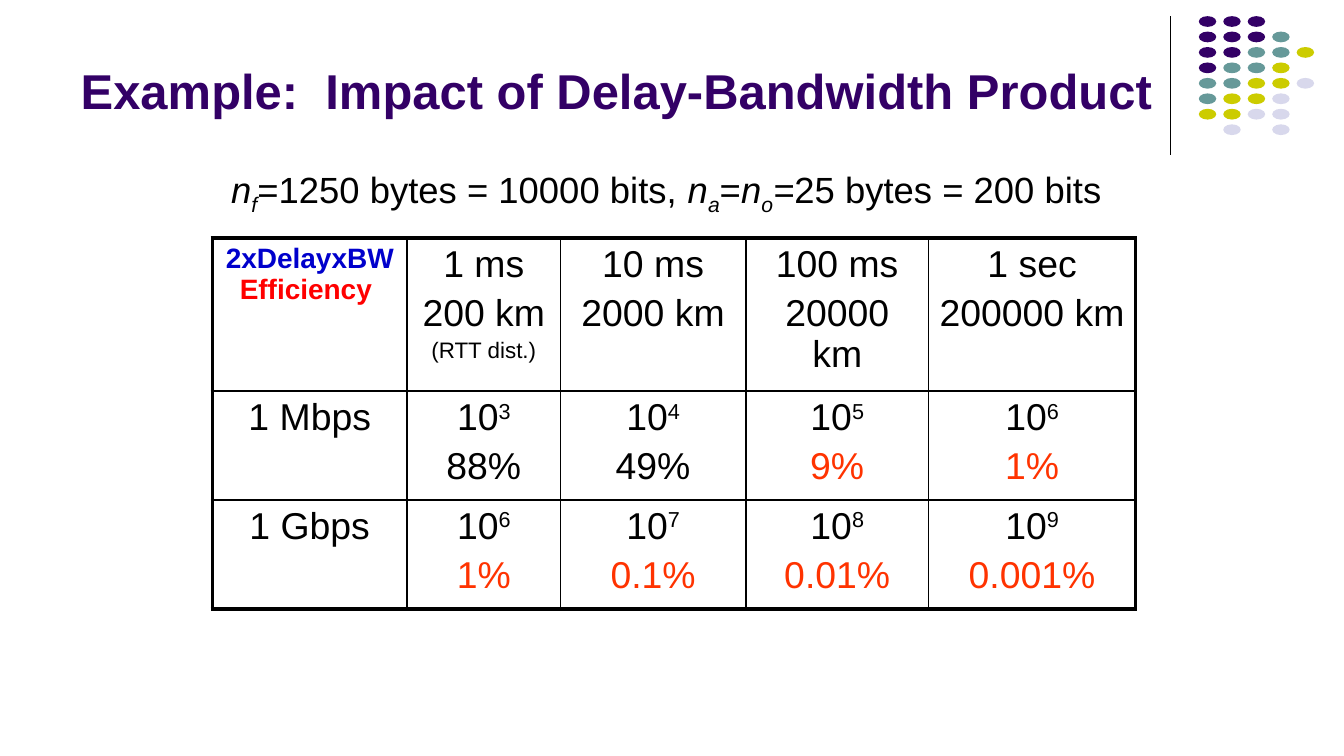
from typing import NamedTuple

from lxml import etree
from pptx import Presentation
from pptx.dml.color import RGBColor
from pptx.enum.shapes import MSO_CONNECTOR, MSO_SHAPE
from pptx.enum.text import MSO_ANCHOR, MSO_AUTO_SIZE, PP_ALIGN
from pptx.oxml.ns import qn
from pptx.util import Inches, Pt

ELLIPSE = MSO_SHAPE.OVAL
STRAIGHT = MSO_CONNECTOR.STRAIGHT
LEFT, CENTER = PP_ALIGN.LEFT, PP_ALIGN.CENTER
TOP, BOTTOM = MSO_ANCHOR.TOP, MSO_ANCHOR.BOTTOM
NO_AUTOFIT = MSO_AUTO_SIZE.NONE

FONT = "Arial"
BLACK = RGBColor(0x00, 0x00, 0x00)
PURPLE = RGBColor(0x33, 0x00, 0x66)
TEAL = RGBColor(0x66, 0x99, 0x99)
OLIVE = RGBColor(0xCC, 0xCC, 0x00)
LAVENDER = RGBColor(0xD8, 0xD8, 0xEC)
BLUE = RGBColor(0x00, 0x00, 0xCC)
RED = RGBColor(0xFF, 0x00, 0x00)
ORANGE = RGBColor(0xFF, 0x33, 0x00)

DOT_COLOURS = {"P": PURPLE, "T": TEAL, "O": OLIVE, "L": LAVENDER}
DOT_ROWS = ["PPP", "PPPT", "PPTTO", "PTTO", "TTOOL", "TOOL", "OOLL", " L L"]

COLUMN_WIDTHS = [1.45, 1.14, 1.38, 1.36, 1.54]
ROW_HEIGHTS = [1.14, 0.81, 0.81]
OUTER_BORDER, INNER_BORDER = Pt(2.25), Pt(1)
LOW_EFFICIENCY = 10


class Span(NamedTuple):
    text: str
    size: float = 20
    colour: RGBColor = BLACK
    bold: bool = False
    italic: bool = False
    baseline: int = 0


class Delay(NamedTuple):
    time: str
    distance: str
    note: str = ""


class Link(NamedTuple):
    rate: str
    first_exponent: int
    efficiencies: list[str]


DELAYS = [
    Delay("1 ms", "200 km", "(RTT dist.)"),
    Delay("10 ms", "2000 km"),
    Delay("100 ms", "20000 km"),
    Delay("1 sec", "200000 km"),
]
LINKS = [
    Link("1 Mbps", 3, ["88%", "49%", "9%", "1%"]),
    Link("1 Gbps", 6, ["1%", "0.1%", "0.01%", "0.001%"]),
]


def write_spans(paragraph, spans: list[Span]) -> None:
    for span in spans:
        run = paragraph.add_run()
        run.text = span.text
        run.font.name = FONT
        run.font.size = Pt(span.size)
        run.font.bold = span.bold
        run.font.italic = span.italic
        run.font.color.rgb = span.colour
        if span.baseline:
            run.font._element.set("baseline", str(span.baseline * 1000))


def place(placeholder, left: float, top: float, width: float, height: float, anchor) -> None:
    placeholder.left, placeholder.top = Inches(left), Inches(top)
    placeholder.width, placeholder.height = Inches(width), Inches(height)
    frame = placeholder.text_frame
    frame.word_wrap = True
    frame.auto_size = NO_AUTOFIT
    frame.vertical_anchor = anchor
    frame.paragraphs[0].alignment = LEFT
    frame.paragraphs[0].space_before = Pt(0)


def draw_ornament(shapes) -> None:
    divider = shapes.add_connector(STRAIGHT, Inches(8.71), Inches(0.12), Inches(8.71), Inches(1.15))
    divider.line.color.rgb = BLACK
    divider.line.width = Pt(0.75)
    etree.SubElement(divider._element.spPr, qn("a:effectLst"))
    for row, codes in enumerate(DOT_ROWS):
        for column, code in enumerate(codes):
            if code in DOT_COLOURS:
                dot = shapes.add_shape(
                    ELLIPSE, Inches(8.92 + 0.182 * column), Inches(0.12 + 0.115 * row),
                    Inches(0.13), Inches(0.08))
                dot.shadow.inherit = False
                dot.fill.solid()
                dot.fill.fore_color.rgb = DOT_COLOURS[code]
                dot.line.fill.background()


def set_borders(cell, widths: dict[str, int]) -> None:
    properties = cell._tc.get_or_add_tcPr()
    for position, (side, width) in enumerate(widths.items()):
        border = etree.Element(qn(f"a:ln{side}"), w=str(width))
        fill = etree.SubElement(border, qn("a:solidFill"))
        etree.SubElement(fill, qn("a:srgbClr"), val=str(BLACK))
        properties.insert(position, border)


def fill_cell(cell, lines: list[list[Span]]) -> None:
    cell.fill.background()
    cell.vertical_anchor = TOP
    cell.margin_left = cell.margin_right = Inches(0.08)
    cell.margin_top = cell.margin_bottom = Inches(0.04)
    for index, spans in enumerate(lines):
        frame = cell.text_frame
        paragraph = frame.add_paragraph() if index else frame.paragraphs[0]
        paragraph.alignment = CENTER
        paragraph.space_before = Pt(spans[0].size * 0.2 if index else 0)
        write_spans(paragraph, spans)


def delay_lines(delay: Delay) -> list[list[Span]]:
    lines = [[Span(delay.time)], [Span(delay.distance)]]
    return lines + [[Span(delay.note, size=12)]] if delay.note else lines


def result_lines(exponent: int, efficiency: str) -> list[list[Span]]:
    colour = ORANGE if float(efficiency.rstrip("%")) < LOW_EFFICIENCY else BLACK
    return [[Span("10"), Span(str(exponent), baseline=30)], [Span(efficiency, colour=colour)]]


def draw_efficiency_table(shapes) -> None:
    corner = [[Span("2xDelayxBW ", 15, BLUE, True), Span("Efficiency ", 15, RED, True)]]
    contents = [[corner] + [delay_lines(delay) for delay in DELAYS]]
    for link in LINKS:
        results = [result_lines(link.first_exponent + step, efficiency)
                   for step, efficiency in enumerate(link.efficiencies)]
        contents.append([[[Span(link.rate)]]] + results)

    last_row, last_column = len(ROW_HEIGHTS) - 1, len(COLUMN_WIDTHS) - 1
    table = shapes.add_table(
        last_row + 1, last_column + 1, Inches(1.58), Inches(1.77),
        Inches(sum(COLUMN_WIDTHS)), Inches(sum(ROW_HEIGHTS))).table
    table.first_row = table.horz_banding = False
    for column, width in enumerate(COLUMN_WIDTHS):
        table.columns[column].width = Inches(width)
    for row, height in enumerate(ROW_HEIGHTS):
        table.rows[row].height = Inches(height)
        for column, lines in enumerate(contents[row]):
            cell = table.cell(row, column)
            fill_cell(cell, lines)
            on_edge = {"L": column == 0, "R": column == last_column,
                       "T": row == 0, "B": row == last_row}
            set_borders(cell, {side: OUTER_BORDER if outer else INNER_BORDER
                               for side, outer in on_edge.items()})


def main() -> None:
    presentation = Presentation()
    presentation.slide_width = Inches(10)
    presentation.slide_height = presentation.slide_width * 9 // 16
    slide = presentation.slides.add_slide(presentation.slide_layouts[1])
    draw_ornament(slide.shapes)

    title = slide.shapes.title
    place(title, 0.5, 0.1, 8.25, 0.84, BOTTOM)
    write_spans(title.text_frame.paragraphs[0],
                [Span("Example:  Impact of Delay-Bandwidth Product", 26.25, PURPLE, True)])

    frame_sizes = slide.placeholders[1]
    place(frame_sizes, 1.62, 1.19, 7.02, 0.56, TOP)
    assumption = frame_sizes.text_frame.paragraphs[0]
    indents = assumption._p.get_or_add_pPr()
    indents.set("marL", str(Inches(0.28)))
    indents.set("indent", str(Inches(-0.28)))
    etree.SubElement(indents, qn("a:buNone"))
    write_spans(assumption, [
        Span("n", 19.5, italic=True),
        Span("f", 19.5, italic=True, baseline=-25),
        Span("=1250 bytes = 10000 bits, ", 19.5),
        Span("n", 19.5, italic=True),
        Span("a", 19.5, italic=True, baseline=-25),
        Span("=", 19.5),
        Span("n", 19.5, italic=True),
        Span("o", 19.5, italic=True, baseline=-25),
        Span("=", 19.5, italic=True),
        Span("25 bytes = 200 bits", 19.5),
    ])

    draw_efficiency_table(slide.shapes)
    presentation.save("out.pptx")


if __name__ == "__main__":
    main()
